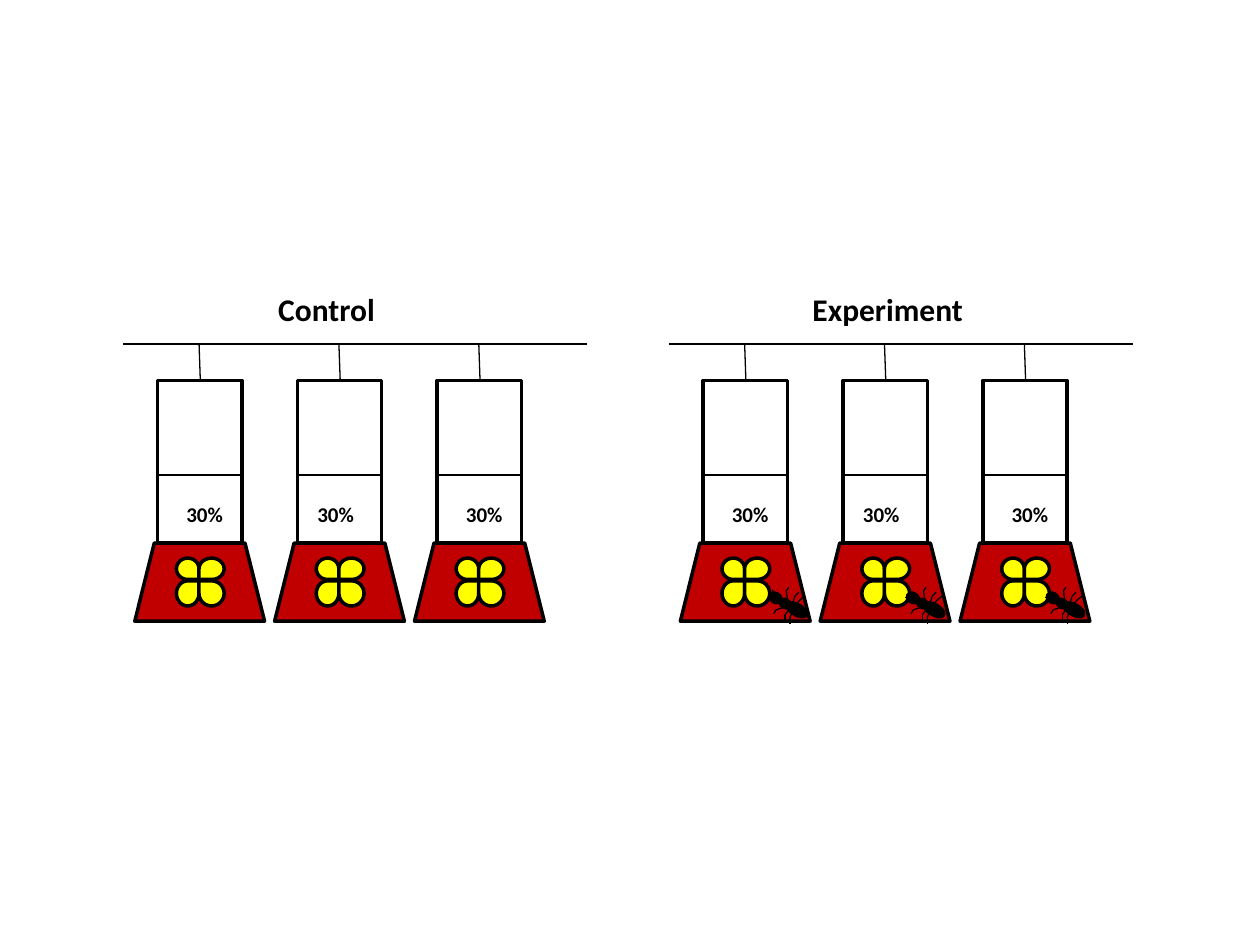
"""Draw hanging feeders with flowers for a control and an experiment with ants."""
from lxml.etree import SubElement
from pptx import Presentation
from pptx.dml.color import RGBColor
from pptx.enum.shapes import MSO_CONNECTOR as Link, MSO_SHAPE as Kind
from pptx.enum.text import MSO_AUTO_SIZE as Fit
from pptx.oxml.ns import qn
from pptx.util import Inches, Pt

BLACK, RED, YELLOW = "000000", "C00000", "FFFF00"
PANELS = [("Control", 1.07, 2.11, 0.97), ("Experiment", 5.4, 6.35, 1.4)]
PITCH = 1.11
LABELS = [("30%", 0.31, 0.49), ("30%", 0.24, 0.58), ("30%", 0.31, 0.56)]
PETALS = [
    (0.33, 4.43, 0.18, 0.17, "v"),
    (0.51, 4.43, 0.2, 0.17, "hv"),
    (0.33, 4.61, 0.18, 0.2, ""),
    (0.51, 4.61, 0.2, 0.2, "h"),
]
ANTS = [6.11, 7.2, 8.31]
ANT_TOP, TILT = 4.71, 29.6
BODY = [(0, 0, 0.09, 0.07), (0.13, 0.09, 0.17, 0.08), (0.08, 0.05, 0.08, 0.06)]
LEGS = [
    [(0.14, 0.05), (0.13, -0.02), (0.15, -0.05)],
    [(0.11, 0.11), (0.05, 0.13), (0.03, 0.16)],
    [(0.15, 0.13), (0.12, 0.17), (0.12, 0.22)],
    [(0.18, 0.08), (0.2, 0.02), (0.23, -0.01)],
    [(0.19, 0.12), (0.16, 0.19), (0.16, 0.24)],
    [(0.19, 0.11), (0.24, 0.05), (0.28, 0.02)],
    [(0.03, 0), (0.02, -0.03)],
    [(0.01, 0.03), (-0.02, 0.03)],
]


def ink(code):
    return RGBColor.from_string(code)


def shape(home, kind, box, fill=None, flip="", tilt=0):
    item = home.shapes.add_shape(kind, *map(Inches, box))
    item.shadow.inherit = False
    if fill:
        item.fill.solid()
        item.fill.fore_color.rgb = ink(fill)
    else:
        item.fill.background()
    item.line.color.rgb = ink(BLACK)
    item.line.width = Pt(2)
    item.rotation = tilt
    for axis in flip:
        item._element.spPr.xfrm.set("flip" + axis.upper(), "1")


def line(home, start, end):
    item = home.shapes.add_connector(Link.STRAIGHT, *map(Inches, start + end))
    item.line.color.rgb = ink(BLACK)
    item.line.width = Pt(0.75)
    SubElement(item._element.spPr, qn("a:effectLst"))


def label(home, words, box, size, wrap):
    frame = home.shapes.add_textbox(*map(Inches, box)).text_frame
    frame.word_wrap = wrap
    frame.auto_size = Fit.SHAPE_TO_FIT_TEXT
    run = frame.paragraphs[0].add_run()
    run.text = words
    font = run.font
    font.name, font.size, font.bold = "Calibri", Pt(size), True
    font.color.rgb = ink(BLACK)


def feeder(home, left):
    shape(home, Kind.TRAPEZOID, (left, 4.31, 1.03, 0.62), RED)
    bloom = home.shapes.add_group_shape()
    for x, top, wide, high, flip in PETALS:
        shape(bloom, Kind.TEAR, (left + x, top, wide, high), YELLOW, flip)
    shape(home, Kind.RECTANGLE, (left + 0.18, 3.02, 0.67, 1.29))
    line(home, (left + 0.52, 3.02), (left + 0.51, 2.73))
    line(home, (left + 0.18, 3.77), (left + 0.85, 3.77))


def ant(home, left):
    group = home.shapes.add_group_shape()
    for x, y, wide, high in BODY:
        box = (left + x, ANT_TOP + y, wide, high)
        shape(group, Kind.OVAL, box, BLACK, tilt=TILT)
    for leg in LEGS:
        spots = [(left + x, ANT_TOP + y) for x, y in leg]
        for start, end in zip(spots, spots[1:]):
            line(group, start, end)


deck = Presentation()
deck.slide_width, deck.slide_height = Inches(10), Inches(7.5)
slide = deck.slides.add_slide(deck.slide_layouts[6])

for name, left, head, wide in PANELS:
    line(slide, (left - 0.09, 2.73), (left + 3.59, 2.73))
    for col, (words, inset, span) in enumerate(LABELS):
        x = left + col * PITCH
        feeder(slide, x)
        label(slide, words, (x + inset, 3.93, span, 0.3), 12, True)
    label(slide, name, (head, 2.25, wide, 0.4), 18, False)
for left in ANTS:
    ant(slide, left)

deck.save("out.pptx")
